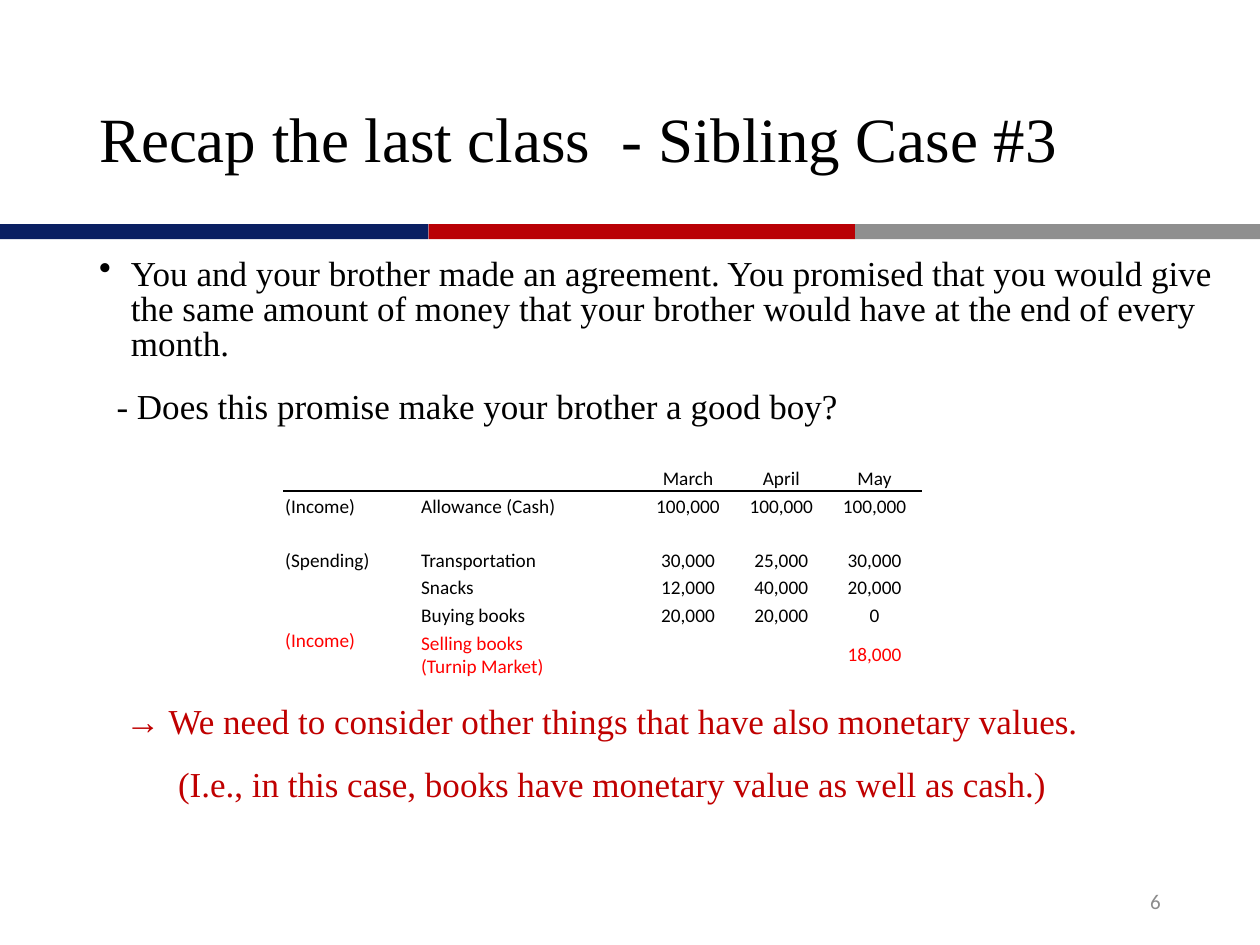
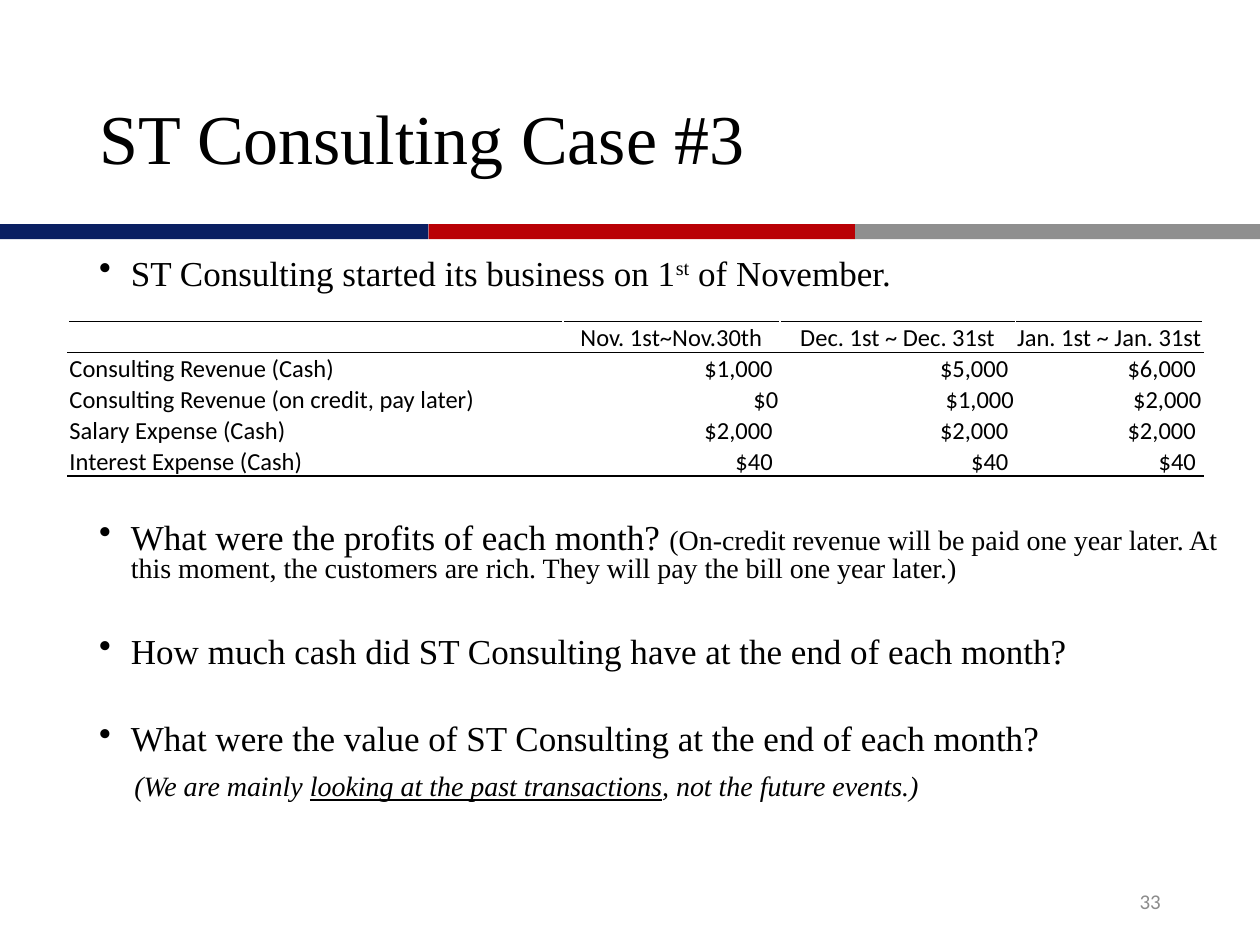
"""Build two accounting class slides: a sibling case and a consulting case."""
from dataclasses import dataclass
from itertools import accumulate

from lxml import etree
from pptx import Presentation
from pptx import util as u
from pptx.dml.color import RGBColor
from pptx.enum import shapes, text
from pptx.oxml.ns import qn

Cm, Pt = u.Cm, u.Pt
LEFT, CENTER, RIGHT = text.PP_ALIGN.LEFT, text.PP_ALIGN.CENTER, text.PP_ALIGN.RIGHT
TOP, MIDDLE, BOTTOM = (text.MSO_ANCHOR.TOP, text.MSO_ANCHOR.MIDDLE,
                       text.MSO_ANCHOR.BOTTOM)


@dataclass(frozen=True)
class Theme:
    serif: str = "Times New Roman"
    sans: str = "Calibri"
    ink: str = "000000"
    paper: str = "FFFFFF"
    answer: str = "C00000"
    alert: str = "FF0000"
    muted: str = "8C8C8C"
    bands: tuple = (("0A1F62", 8.64), ("B90005", 8.6), ("8F8F8F", 8.16))
    body: int = 20
    aside: int = 16
    number: int = 12


@dataclass
class Point:
    runs: list
    bullet: bool = False
    indent: float = 0
    before: int = 10
    after: int = 0
    line: int = 15


THEME = Theme()

SIBLING = {
    "title": ("Recap the last class  - Sibling Case #3", 36),
    "number": "6",
    "points": [
        Point([("You and your brother made an agreement. You promised that you would "
                "give the same amount of money that your brother would have at the "
                "end of every month.", {})], bullet=True, after=6, line=20),
        Point([("- Does this promise make your brother a good boy?", {})],
              indent=0.35, after=6, line=20),
        Point([("→ We need to consider other things that have also monetary values.",
                {"color": THEME.answer})], indent=0.53, before=154, after=6, line=20),
        Point([("(I.e., in this case, books have monetary value as well as cash.)",
                {"color": THEME.answer})], indent=1.59, after=6, line=20),
    ],
    "table": {
        "at": (5.72, 9.35),
        "columns": [2.74, 4.47, 1.88, 1.88, 1.88],
        "heights": [0.55] * 6 + [1.09],
        "size": 11,
        "aligns": [LEFT, LEFT, CENTER, CENTER, CENTER],
        "anchor": BOTTOM,
        "rules": [1],
        "colors": {6: THEME.alert},
        "anchors": {(6, 0): TOP, (6, 1): MIDDLE, (6, 4): MIDDLE},
        "rows": [
            ["", "", "March", "April", "May"],
            ["(Income)", "Allowance (Cash)", "100,000", "100,000", "100,000"],
            ["", "", "", "", ""],
            ["(Spending)", "Transportation", "30,000", "25,000", "30,000"],
            ["", "Snacks", "12,000", "40,000", "20,000"],
            ["", "Buying books", "20,000", "20,000", "0"],
            ["(Income)", "Selling books\n(Turnip Market)", "", "", "18,000"],
        ],
    },
}

CONSULTING = {
    "title": ("ST Consulting Case #3", 40),
    "number": "33",
    "points": [
        Point([("ST Consulting started its business on 1", {}), ("st", {"raised": True}),
               (" of November.", {})], bullet=True, after=18, line=20),
        Point([("What were the profits of each month? ", {}),
               ("(On-credit revenue will be paid one year later. At this moment, the "
                "customers are rich. They will pay the bill one year later.)",
                {"size": THEME.aside})], bullet=True, before=118),
        Point([("How much cash did ST Consulting have at the end of each month?", {})],
              bullet=True, before=35),
        Point([("What were the value of ST Consulting at the end of each month?", {})],
              bullet=True, before=35),
        Point([("(We are mainly ", {"size": THEME.aside, "italic": True}),
               ("looking at the past transactions",
                {"size": THEME.aside, "italic": True, "underline": True}),
               (", not the future events.)", {"size": THEME.aside, "italic": True})],
              indent=0.71),
    ],
    "table": {
        "at": (1.37, 6.48),
        "columns": [9.98, 4.37, 4.75, 3.78],
        "heights": [0.62] * 5,
        "size": 14,
        "aligns": [LEFT, RIGHT, RIGHT, RIGHT],
        "header_align": CENTER,
        "anchor": MIDDLE,
        "rules": [0, 1, 5],
        "rows": [
            ["", "Nov. 1st~Nov.30th", "Dec. 1st ~ Dec. 31st", "Jan. 1st ~ Jan. 31st"],
            ["Consulting Revenue (Cash)", "$1,000 ", "$5,000 ", "$6,000 "],
            ["Consulting Revenue (on credit, pay later)", "$0", "$1,000", "$2,000"],
            ["Salary Expense (Cash)", "$2,000 ", "$2,000 ", "$2,000 "],
            ["Interest Expense (Cash)", "$40 ", "$40 ", "$40 "],
        ],
    },
}


def add_run(paragraph, words, size=THEME.body, face=THEME.serif, color=THEME.ink,
            italic=False, underline=False, raised=False):
    run = paragraph.add_run()
    run.text = words
    font = run.font
    font.size, font.name = Pt(size), face
    font.color.rgb = RGBColor.from_string(color)
    if italic:
        font.italic = True
    if underline:
        font.underline = True
    if raised:
        run._r.get_or_add_rPr().set("baseline", "30000")


def add_frame(slide, left, top, width, height, anchor=TOP):
    frame = slide.shapes.add_textbox(Cm(left), Cm(top), Cm(width), Cm(height)).text_frame
    frame.word_wrap = True
    frame.vertical_anchor = anchor
    return frame


def paragraphs(frame, count):
    return [frame.paragraphs[0]] + [frame.add_paragraph() for _ in range(count - 1)]


def add_bands(slide):
    widths = [width for _, width in THEME.bands]
    for (color, width), end in zip(THEME.bands, accumulate(widths)):
        band = slide.shapes.add_shape(shapes.MSO_SHAPE.RECTANGLE, Cm(end - width),
                                      Cm(4.52), Cm(width), Cm(0.3))
        band.shadow.inherit = False
        band.fill.solid()
        band.fill.fore_color.rgb = RGBColor.from_string(color)
        band.line.fill.background()


def add_points(slide, points):
    frame = add_frame(slide, 1.75, 5.08, 23.37, 12.09)
    for index, (point, paragraph) in enumerate(
            zip(points, paragraphs(frame, len(points)))):
        props = paragraph._p.get_or_add_pPr()
        hang = 0.64 if point.bullet else 0
        props.set("marL", str(Cm(hang + point.indent)))
        props.set("indent", str(-Cm(hang)))
        if point.bullet:
            etree.SubElement(props, qn("a:buChar"), char="•")
        else:
            etree.SubElement(props, qn("a:buNone"))
        paragraph.line_spacing = Pt(point.line)
        paragraph.space_before = Pt(point.before if index else 0)
        paragraph.space_after = Pt(point.after)
        for words, style in point.runs:
            add_run(paragraph, words, **style)


def set_borders(cell, row, rules):
    lines = {"L": False, "R": False, "T": row in rules, "B": row + 1 in rules}
    for side, ruled in lines.items():
        line = etree.SubElement(cell._tc.get_or_add_tcPr(), qn("a:ln" + side),
                                w=str(Pt(1)))
        fill = etree.SubElement(line, qn("a:solidFill"))
        etree.SubElement(fill, qn("a:srgbClr"), val=THEME.ink if ruled else THEME.paper)


def add_ledger(slide, ledger):
    rows, columns, heights = ledger["rows"], ledger["columns"], ledger["heights"]
    left, top = ledger["at"]
    grid = slide.shapes.add_table(len(rows), len(columns), Cm(left), Cm(top),
                                  Cm(sum(columns)), Cm(sum(heights))).table
    grid.first_row = grid.horz_banding = False
    for column, width in zip(grid.columns, columns):
        column.width = Cm(width)
    for r, (row, height) in enumerate(zip(rows, heights)):
        grid.rows[r].height = Cm(height)
        color = ledger.get("colors", {}).get(r, THEME.ink)
        for c, (entry, align) in enumerate(zip(row, ledger["aligns"])):
            cell = grid.cell(r, c)
            cell.margin_left = cell.margin_right = cell.margin_top = Cm(0.03)
            cell.margin_bottom = 0
            cell.vertical_anchor = ledger.get("anchors", {}).get((r, c), ledger["anchor"])
            set_borders(cell, r, ledger["rules"])
            cell.fill.background()
            lines = entry.split("\n")
            for words, paragraph in zip(lines, paragraphs(cell.text_frame, len(lines))):
                paragraph.alignment = align if r else ledger.get("header_align", align)
                if words:
                    add_run(paragraph, words, ledger["size"], THEME.sans, color)
                else:
                    etree.SubElement(paragraph._p, qn("a:endParaRPr"),
                                     sz=str(ledger["size"] * 100))


def add_case(deck, case):
    slide = deck.slides.add_slide(deck.slide_layouts[6])
    add_bands(slide)
    title = add_frame(slide, 1.75, 1.02, 22.53, 3.68, MIDDLE).paragraphs[0]
    title.line_spacing = 0.9
    add_run(title, *case["title"])
    add_points(slide, case["points"])
    number = add_frame(slide, 17.93, 17.65, 5.72, 1.02, MIDDLE).paragraphs[0]
    number.alignment = RIGHT
    add_run(number, case["number"], THEME.number, THEME.sans, THEME.muted)
    add_ledger(slide, case["table"])


def main():
    deck = Presentation()
    deck.slide_width, deck.slide_height = Cm(25.4), Cm(19.05)
    for case in (SIBLING, CONSULTING):
        add_case(deck, case)
    deck.save("out.pptx")


if __name__ == "__main__":
    main()
